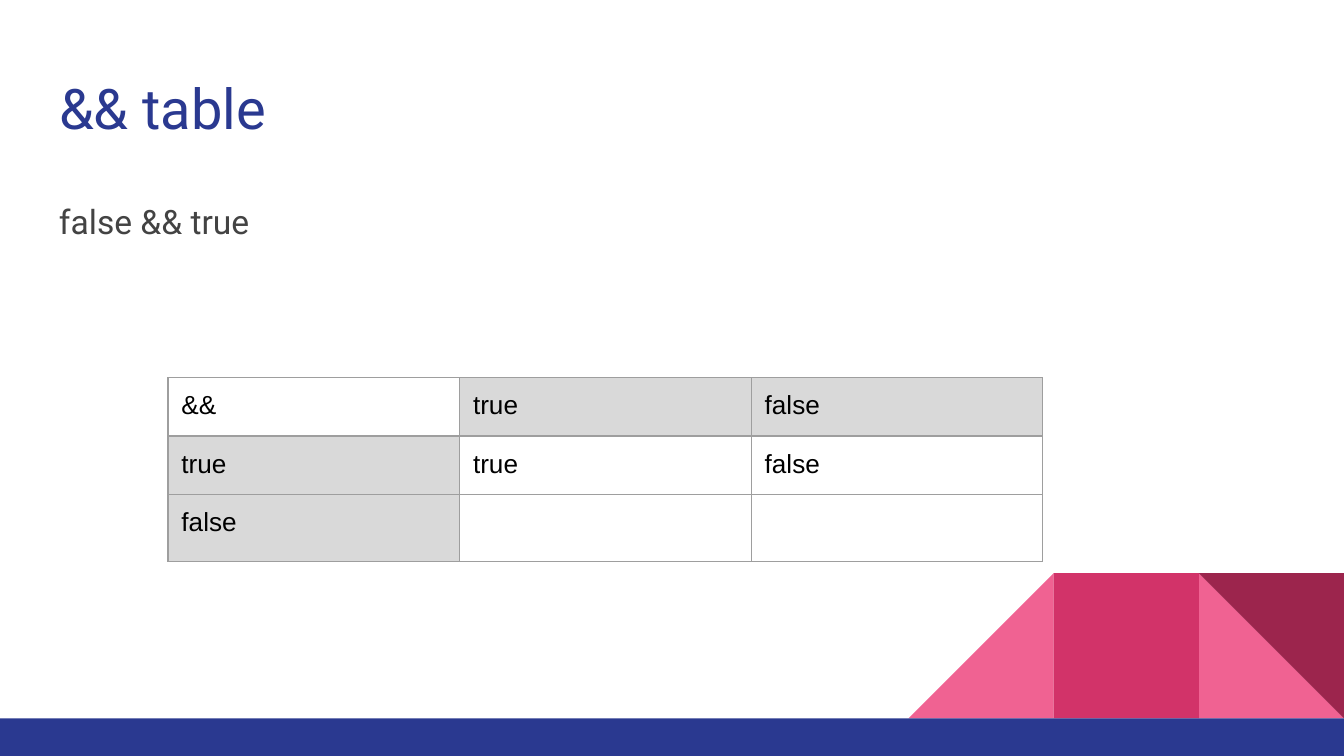
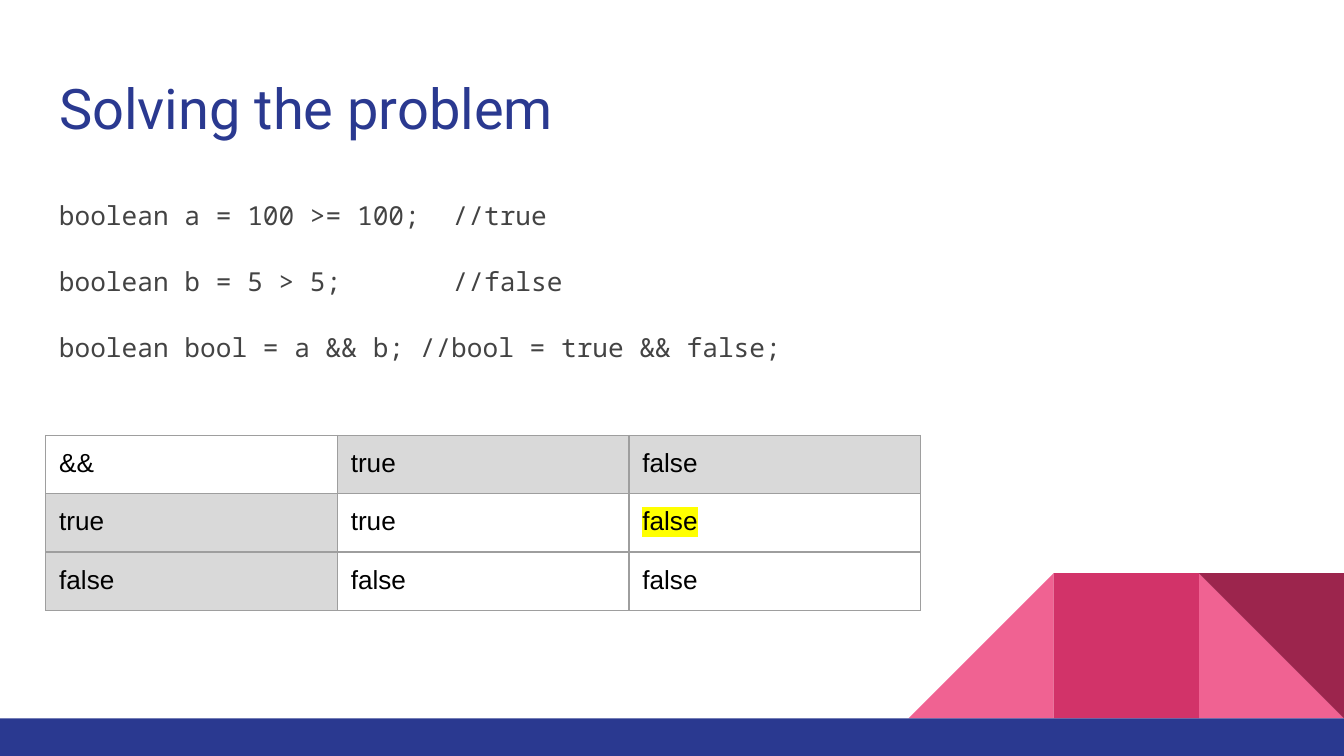
from lxml import etree
from pptx import Presentation
from pptx import util as u
from pptx.dml import color
from pptx.enum import shapes, text
from pptx.oxml import ns

NAVY, PINK, ROSE, WINE = "2A3990", "F06292", "D23369", "9C254D"
INK, BLACK, GREY, LINE, MARK = "434343", "000000", "D9D9D9", "9E9E9E", "FFFF00"
WIDE, HIGH, BAND = 10, 5.625, 0.28
LEFT, PAD = 0.34, 0.1
COL, ROW, TALL = 2.17, 0.42, 0.48


def rgb(code):
    return color.RGBColor.from_string(code)


def inch(*sizes):
    return [u.Inches(size) for size in sizes]


def node(parent, tag, **attrs):
    return etree.SubElement(parent, ns.qn(tag), **attrs)


def write(frame, words, font="Roboto", size=14, ink=INK, mark=None,
          lead=None, before=0, after=0, tab=None):
    frame.word_wrap = True
    frame.vertical_anchor = text.MSO_ANCHOR.TOP
    for n, line in enumerate(words.split("\n")):
        para = frame.paragraphs[0] if n == 0 else frame.add_paragraph()
        para.alignment = text.PP_ALIGN.LEFT
        para.space_before = u.Pt(before if n else 0)
        para.space_after = u.Pt(after)
        if lead:
            para.line_spacing = lead
        if tab:
            stops = node(para._p.get_or_add_pPr(), "a:tabLst")
            node(stops, "a:tab", pos=str(u.Inches(tab)), algn="l")
        run = para.add_run()
        run.text = line
        run.font.name, run.font.size = font, u.Pt(size)
        run.font.color.rgb = rgb(ink)
        if mark:
            props = run._r.get_or_add_rPr()
            light = node(props, "a:highlight")
            node(light, "a:srgbClr", val=mark)
            props.find(ns.qn("a:solidFill")).addnext(light)


def inset(item):
    item.margin_left = item.margin_right = u.Inches(PAD)
    item.margin_top = item.margin_bottom = u.Inches(PAD)


def block(slide, kind, box, fill, turn=0, flip=False):
    shape = slide.shapes.add_shape(kind, *inch(*box))
    shape.shadow.inherit = False
    shape.fill.solid()
    shape.fill.fore_color.rgb = rgb(fill)
    shape.line.fill.background()
    shape.rotation = turn
    if flip:
        shape._element.spPr.xfrm.set("flipH", "1")


def decor(slide, side=1.08):
    kind = shapes.MSO_SHAPE
    top = HIGH - BAND - side
    tiles = [
        (1, kind.RIGHT_TRIANGLE, PINK, 0, False),
        (3, kind.RIGHT_TRIANGLE, PINK, 0, True),
        (2, kind.RECTANGLE, ROSE, 0, False),
        (1, kind.RIGHT_TRIANGLE, WINE, 180, False),
    ]
    for slot, form, fill, turn, flip in tiles:
        block(slide, form, (WIDE - slot * side, top, side, side), fill, turn, flip)
    block(slide, kind.RECTANGLE, (0, HIGH - BAND, WIDE, BAND), NAVY)


def start(deck, name):
    slide = deck.slides.add_slide(deck.slide_layouts[5])
    decor(slide)
    title = slide.shapes.title
    title.left, title.top, title.width, title.height = inch(LEFT, 0.45, 9.32, 0.66)
    frame = title.text_frame
    frame.auto_size = text.MSO_AUTO_SIZE.NONE
    inset(frame)
    write(frame, name, size=30, ink=NAVY)
    return slide


def body(slide, words, wide, high, **style):
    frame = slide.shapes.add_textbox(*inch(LEFT, 1.35, wide, high)).text_frame
    inset(frame)
    write(frame, words, lead=1.15, **style)


def edge(cell):
    props = cell._tc.get_or_add_tcPr()
    for side in "LRTB":
        line = node(props, f"a:ln{side}", w=str(u.Pt(0.75)))
        node(node(line, "a:solidFill"), "a:srgbClr", val=LINE)


def truth(slide, left, top, rows, hit=None):
    high = [ROW if all(row) else TALL for row in rows]
    count = len(rows[0])
    box = inch(left, top, count * COL, sum(high))
    table = slide.shapes.add_table(len(rows), count, *box).table
    table.first_row = table.horz_banding = False
    for col in table.columns:
        col.width = u.Inches(COL)
    for r, row in enumerate(rows):
        table.rows[r].height = u.Inches(high[r])
        for c, word in enumerate(row):
            cell = table.cell(r, c)
            inset(cell)
            edge(cell)
            if (r == 0) != (c == 0):
                cell.fill.solid()
                cell.fill.fore_color.rgb = rgb(GREY)
            else:
                cell.fill.background()
            write(cell.text_frame, word, font="Arial", ink=BLACK,
                  mark=MARK if (r, c) == hit else None)


def main():
    deck = Presentation()
    deck.slide_width, deck.slide_height = inch(WIDE, HIGH)
    head = [["&&", "true", "false"], ["true", "true", "false"]]

    slide = start(deck, "&& table")
    body(slide, "false && true", 2.72, 0.66, size=18, after=16)
    truth(slide, 1.25, 2.81, head + [["false", "", ""]])

    slide = start(deck, "Solving the problem")
    code = ("boolean a = 100 >= 100;\t//true\n"
            "boolean b = 5 > 5;\t//false\n"
            "boolean bool = a && b; //bool = true && false;")
    body(slide, code, 7.19, 3.65, font="Noto Sans Mono", before=16, tab=2.93)
    truth(slide, LEFT, 3.24, head + [["false", "false", "false"]], hit=(1, 2))

    deck.save("out.pptx")


if __name__ == "__main__":
    main()
